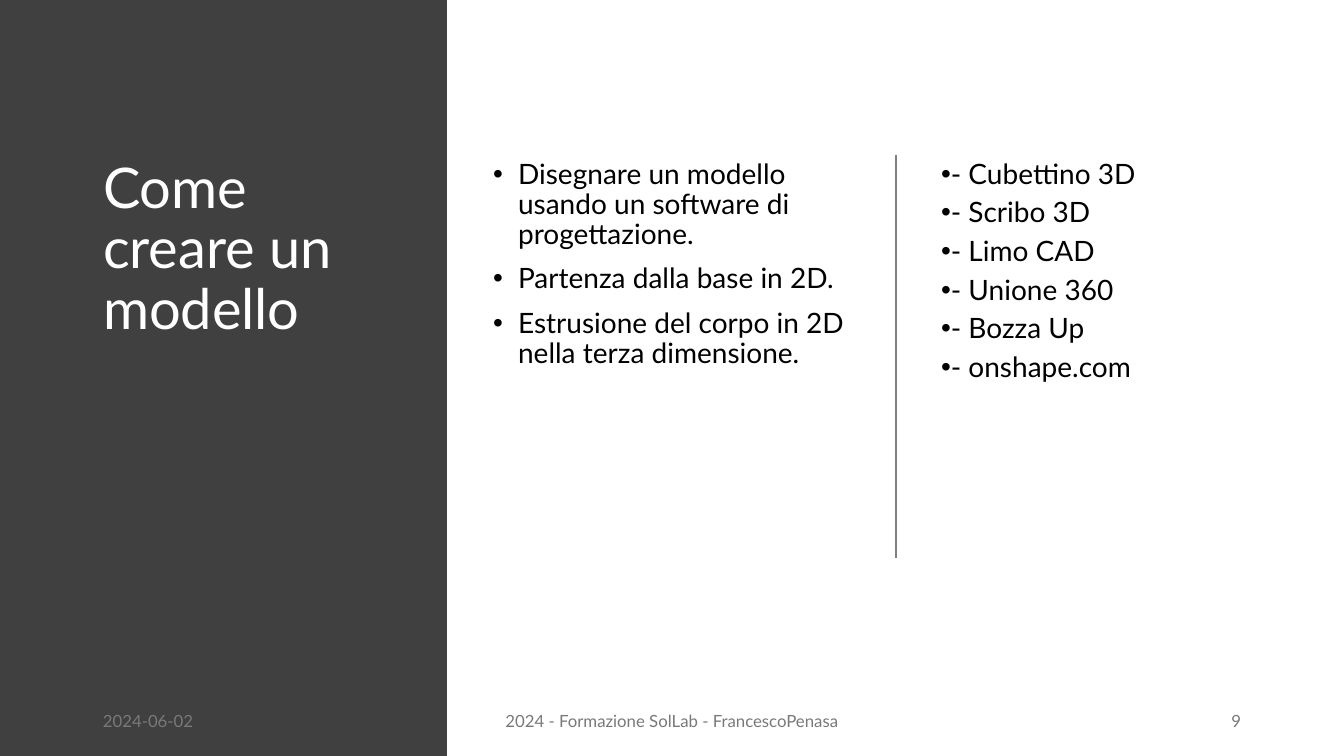
from lxml.etree import SubElement
from pptx import Presentation
from pptx.dml.color import RGBColor
from pptx.enum.shapes import MSO_CONNECTOR, MSO_SHAPE
from pptx.enum.text import MSO_ANCHOR, MSO_AUTO_SIZE, PP_ALIGN
from pptx.oxml.ns import qn
from pptx.util import Emu, Pt

FONT = "Lato"
WIDTH, HEIGHT = 1344, 756
PANEL_WIDTH = 447
CONTENT_TOP, CONTENT_HEIGHT = 155, 481
BULLET_INDENT = 25

STEPS = [
    "Disegnare un modello usando un software di progettazione.",
    "Partenza dalla base in 2D.",
    "Estrusione del corpo in 2D nella terza dimensione.",
]
PROGRAMS = ["Cubettino 3D", "Scribo 3D", "Limo CAD", "Unione 360", "Bozza Up", "onshape.com"]


def px(length):
    return Emu(round(length * 914400 / 100.8))


def color(hex_value):
    return RGBColor.from_string(hex_value)


def place(shape, box):
    shape.left, shape.top, shape.width, shape.height = map(px, box)


def format_runs(paragraph, size, hex_value):
    for run in paragraph.runs:
        run.font.name = FONT
        run.font.size = Pt(size)
        run.font.color.rgb = color(hex_value)


def prepare_frame(shape, anchor):
    frame = shape.text_frame
    frame.word_wrap = True
    frame.auto_size = MSO_AUTO_SIZE.NONE
    frame.vertical_anchor = anchor
    return frame


def add_panel(slide, box):
    panel = slide.shapes.add_shape(MSO_SHAPE.RECTANGLE, *map(px, box))
    panel.shadow.inherit = False
    panel.fill.solid()
    panel.fill.fore_color.rgb = color("404040")
    panel.line.fill.background()
    slide.shapes.element.insert(2, panel.element)  # behind the placeholders


def fill_title(title, text, box):
    place(title, box)
    frame = prepare_frame(title, MSO_ANCHOR.TOP)
    frame.text = text
    paragraph = frame.paragraphs[0]
    paragraph.alignment = PP_ALIGN.LEFT
    paragraph.line_spacing = 0.9
    format_runs(paragraph, 40, "FFFFFF")


def fill_list(body, items, box, margin, before, after):
    place(body, box)
    frame = prepare_frame(body, MSO_ANCHOR.TOP)
    frame.text = "\n".join(items)
    for index, paragraph in enumerate(frame.paragraphs):
        paragraph.line_spacing = 0.9
        paragraph.space_before = Pt(before if index else 0)
        paragraph.space_after = Pt(after)
        properties = paragraph._p.get_or_add_pPr()
        properties.set("marL", str(px(margin)))
        properties.set("indent", str(-px(BULLET_INDENT)))
        SubElement(properties, qn("a:buFont"), typeface="Arial")
        SubElement(properties, qn("a:buChar"), char="•")
        format_runs(paragraph, 20, "000000")


def add_divider(slide, x, top, bottom):
    divider = slide.shapes.add_connector(
        MSO_CONNECTOR.STRAIGHT, px(x), px(top), px(x), px(bottom))
    divider.line.color.rgb = color("808080")
    divider.line.width = Pt(1)
    SubElement(divider.element.spPr, qn("a:effectLst"))


def add_footer(slide, top, height):
    parts = [
        ("2024-06-02", 93, 302, PP_ALIGN.LEFT),
        ("2024 - Formazione SolLab - FrancescoPenasa", 445, 454, PP_ALIGN.CENTER),
        ("9", 949, 302, PP_ALIGN.RIGHT),
    ]
    for text, left, width, alignment in parts:
        box = slide.shapes.add_textbox(*map(px, (left, top, width, height)))
        frame = prepare_frame(box, MSO_ANCHOR.MIDDLE)
        frame.text = text
        frame.paragraphs[0].alignment = alignment
        format_runs(frame.paragraphs[0], 12, "797979")


def build_slide(presentation):
    slide = presentation.slides.add_slide(presentation.slide_layouts[3])
    title, steps, programs = slide.placeholders

    # Dark title panel
    add_panel(slide, (0, 0, PANEL_WIDTH, HEIGHT))
    fill_title(title, "Come creare un modello", (93, CONTENT_TOP, 319, CONTENT_HEIGHT))

    # Two lists with a divider between them
    fill_list(steps, STEPS, (483, CONTENT_TOP, 378, CONTENT_HEIGHT),
              margin=BULLET_INDENT, before=10, after=0)
    add_divider(slide, 896, CONTENT_TOP, 558)
    fill_list(programs, [f"- {name}" for name in PROGRAMS],
              (931, CONTENT_TOP, 353, CONTENT_HEIGHT), margin=0, before=0, after=6)

    # Date, footer and slide number
    add_footer(slide, 701, 40)


def main():
    presentation = Presentation()
    presentation.slide_width = px(WIDTH)
    presentation.slide_height = px(HEIGHT)
    build_slide(presentation)
    presentation.save("out.pptx")


if __name__ == "__main__":
    main()
